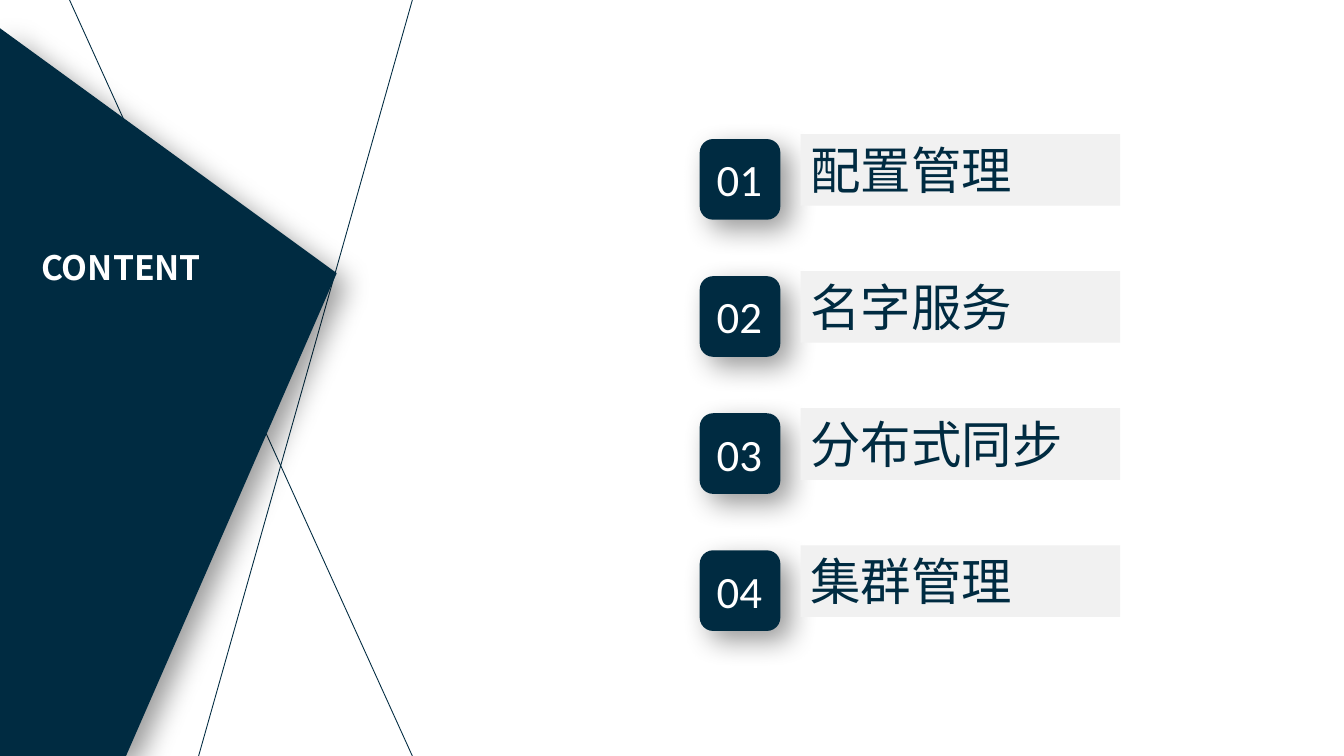
import pptx
import pptx.util
import pptx.dml.color
import pptx.enum.shapes
import pptx.enum.text
import pptx.oxml
import pptx.oxml.ns
from dataclasses import dataclass
from pptx.util import Inches


@dataclass(frozen=True)
class Theme:
    navy = pptx.dml.color.RGBColor.from_string("002B41")
    white = pptx.dml.color.RGBColor.from_string("FFFFFF")
    pale = pptx.dml.color.RGBColor.from_string("F1F1F1")
    title_size = pptx.util.Pt(24)
    number_size = pptx.util.Pt(32)
    topic_size = pptx.util.Pt(36)
    line_width = pptx.util.Pt(0.63)


theme = Theme()
SHADOW = (
    f'<a:effectLst {pptx.oxml.ns.nsdecls("a")}>'
    '<a:outerShdw blurRad="254000" dist="127000" dir="2700000" algn="tl" rotWithShape="0">'
    '<a:srgbClr val="000000"><a:alpha val="40000"/></a:srgbClr>'
    '</a:outerShdw></a:effectLst>'
)


def fill_shape(shape, color, shadow=False):
    shape.fill.solid()
    shape.fill.fore_color.rgb = color
    shape.line.fill.background()
    if shadow:
        shape._element.spPr.append(pptx.oxml.parse_xml(SHADOW))
    else:
        shape.shadow.inherit = False


def write_text(box, text, font, size, color, align="LEFT", bold=False, wrap=True):
    frame = box.text_frame
    frame.word_wrap = wrap
    frame.vertical_anchor = pptx.enum.text.MSO_ANCHOR.TOP
    para = frame.paragraphs[0]
    para.alignment = getattr(pptx.enum.text.PP_ALIGN, align)
    span = para.add_run()
    span.text = text
    span.font.name = font
    span.font.size = size
    span.font.bold = bold
    span.font.color.rgb = color
    east_asian = pptx.oxml.parse_xml(
        f'<a:ea {pptx.oxml.ns.nsdecls("a")} typeface="{font}"/>')
    span.font._element.append(east_asian)


deck = pptx.Presentation()
deck.slide_width = Inches(13.33)
deck.slide_height = Inches(7.5)
page = deck.slides.add_slide(deck.slide_layouts[6])
shapes = page.shapes

for top_x, bottom_x in [(4.09, 1.97), (0.69, 4.09)]:
    line = shapes.add_connector(
        pptx.enum.shapes.MSO_CONNECTOR.STRAIGHT,
        Inches(top_x), Inches(0), Inches(bottom_x), Inches(7.5))
    line.line.color.rgb = theme.navy
    line.line.width = theme.line_width
    line._element.spPr.append(
        pptx.oxml.parse_xml(f'<a:effectLst {pptx.oxml.ns.nsdecls("a")}/>'))

outline = shapes.build_freeform(Inches(1.25), Inches(7.5))
outline.add_line_segments(
    [(Inches(x), Inches(y)) for x, y in [(0, 7.5), (0, 0.28), (3.34, 2.71)]], close=True)
panel = outline.convert_to_shape()
fill_shape(panel, theme.navy, shadow=True)

title = shapes.add_textbox(Inches(0.24), Inches(2.4), Inches(1.92), Inches(0.5))
write_text(title, "CONTENT", "Noto Sans CJK SC", theme.title_size, theme.white,
           align="CENTER", bold=True)

topics = ["配置管理", "名字服务", "分布式同步", "集群管理"]
for index, topic in enumerate(topics):
    top = 1.38 + 1.36 * index
    badge = shapes.add_shape(
        pptx.enum.shapes.MSO_SHAPE.ROUNDED_RECTANGLE,
        Inches(6.94), Inches(top), Inches(0.8), Inches(0.8))
    fill_shape(badge, theme.navy, shadow=True)

    number = shapes.add_textbox(Inches(7.01), Inches(top + 0.08), Inches(0.66), Inches(0.64))
    write_text(number, f"{index + 1:02d}", "Calibri", theme.number_size, theme.white, wrap=False)

    bar = shapes.add_shape(
        pptx.enum.shapes.MSO_SHAPE.RECTANGLE,
        Inches(7.94), Inches(top - 0.05), Inches(3.17), Inches(0.71))
    fill_shape(bar, theme.pale)
    write_text(bar, topic, "Arial", theme.topic_size, theme.navy)

deck.save("out.pptx")
